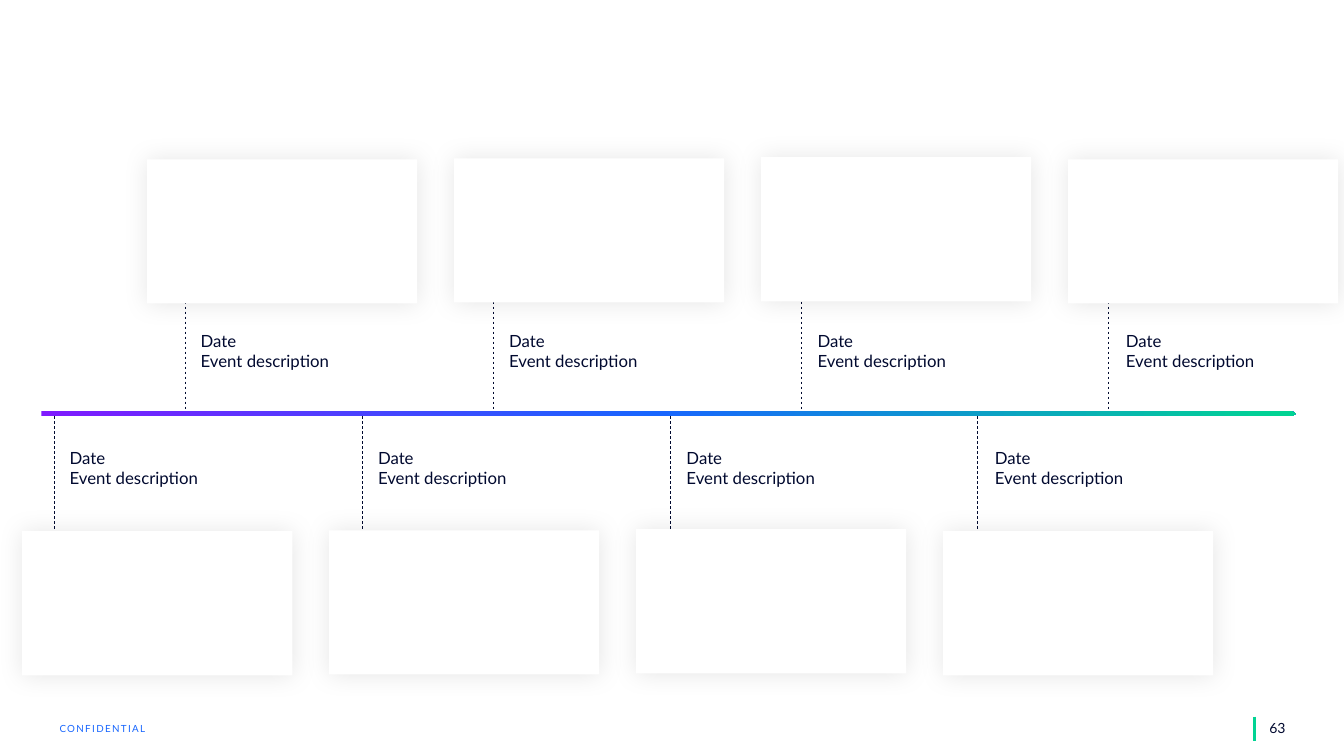
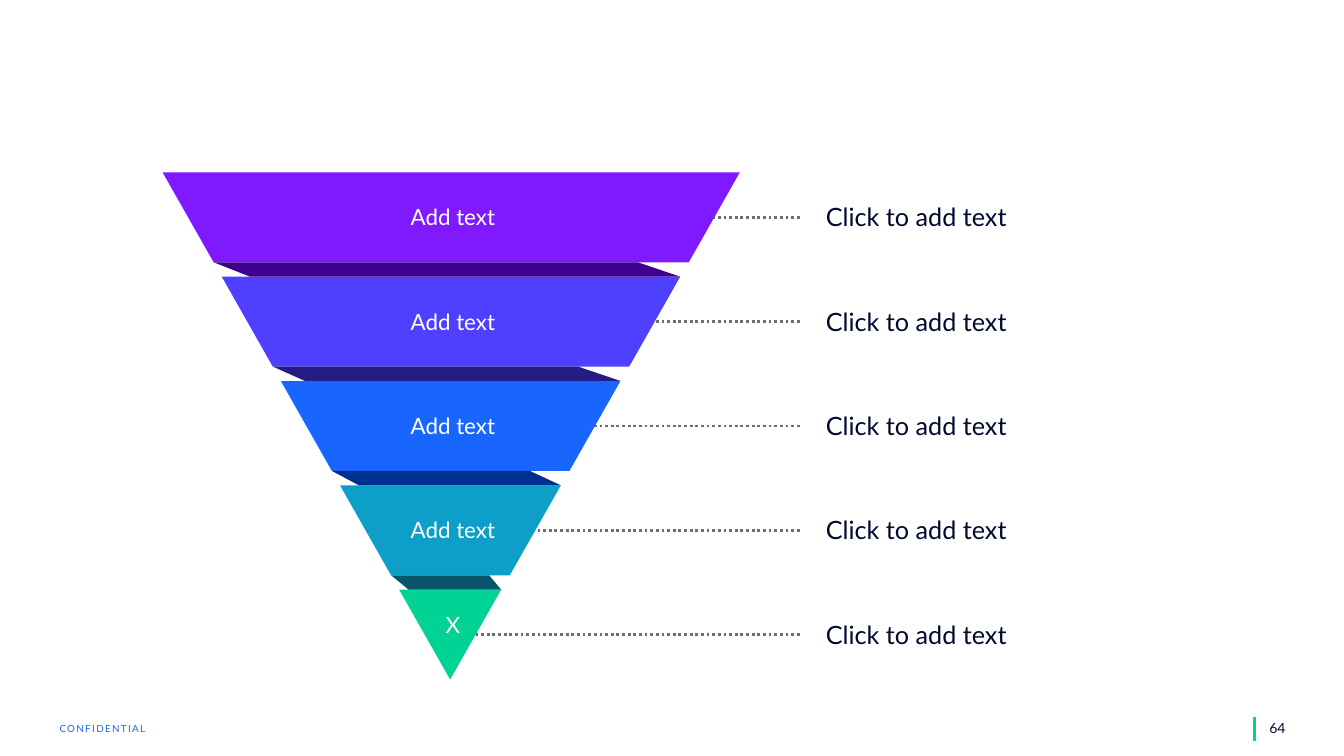
"""Build a timeline slide and an inverted pyramid slide."""
from copy import deepcopy

from lxml.etree import SubElement
from pptx import Presentation
from pptx.dml.color import RGBColor as Rgb
from pptx.enum.dml import MSO_LINE_DASH_STYLE as Dash
from pptx.enum.shapes import MSO_CONNECTOR as Connector, MSO_SHAPE as Shape
from pptx.enum.text import MSO_ANCHOR as Anchor, PP_ALIGN as Align
from pptx.oxml.ns import qn
from pptx.util import Inches, Pt

COLORS = {
    "ink": "00092F",
    "white": "FFFFFF",
    "blue": "1866FE",
    "green": "01D393",
    "purple": "7F1AFE",
    "leader": "6B6E6B",
    "shadow": "000000",
}
LAYERS = ["7F1AFF", "4F3FFF", "1966FF", "0E9FC8", "02D394"]
FOLDS = ["3E008F", "251C84", "00308F", "07566C"]
FONT = "Lato"

deck = Presentation()
deck.slide_width, deck.slide_height = Inches(13.33), Inches(7.5)
COL, ROW = deck.slide_width / 100, deck.slide_height / 100


def write(page, text, left, top, width, height, size, color="ink", align=Align.LEFT, inset=0):
    """Add a text box placed in grid columns and rows."""
    box = page.shapes.add_textbox(
        round(left * COL), round(top * ROW), round(width * COL), round(height * ROW))
    frame = box.text_frame
    frame.word_wrap = True
    frame.margin_left = frame.margin_right = Inches(inset)
    frame.margin_top = frame.margin_bottom = Inches(inset / 2)
    frame.text = text
    for para in frame.paragraphs:
        para.alignment = align
        for span in para.runs:
            span.font.name = FONT
            span.font.size = Pt(size)
            span.font.color.rgb = Rgb.from_string(COLORS[color])
    return box


def draw_line(page, start, end, color, weight, dash=Dash.SOLID):
    """Add a straight line between two grid points."""
    line = page.shapes.add_connector(
        Connector.STRAIGHT, round(start[0] * COL), round(start[1] * ROW),
        round(end[0] * COL), round(end[1] * ROW))
    line.line.color.rgb = Rgb.from_string(COLORS[color])
    line.line.width = Pt(weight)
    line.line.dash_style = dash
    SubElement(line._element.spPr, qn("a:effectLst"))


pages = []
for number in (63, 64):
    page = deck.slides.add_slide(deck.slide_layouts[6])
    draw_line(page, (93.32, 94.8), (93.32, 98), "green", 2)
    label = write(page, "CONFIDENTIAL", 4.43, 95.6, 10, 1.6, 7, "blue")
    label.text_frame.paragraphs[0].runs[0]._r.get_or_add_rPr().set("spc", "100")
    box = write(page, str(number), 93.7, 94.53, 3.4, 3.6, 10, inset=0.1)
    box.text_frame.vertical_anchor = Anchor.MIDDLE
    pages.append(page)
timeline, pyramid = pages

bar = timeline.shapes.add_shape(
    Shape.PENTAGON, round(3.08 * COL), round(54.4 * ROW), round(93.32 * COL), round(0.67 * ROW))
bar.adjustments[0] = 0.68
bar.shadow.inherit = False
bar.line.fill.background()
bar.fill.gradient()
bar.fill.gradient_angle = 0
stop_list = bar._element.spPr.find(".//" + qn("a:gsLst"))
stop_list.append(deepcopy(stop_list[0]))
for stop, position, color in zip(
        bar.fill.gradient_stops, (0, 0.49, 0.99), ("purple", "blue", "green")):
    stop.position = position
    stop.color.rgb = Rgb.from_string(COLORS[color])

EVENT_ROWS = [
    {"stem": 13.8, "stem_top": 26.67, "stem_end": 54.4, "text": 14.93, "text_top": 43.73,
     "card": 10.95, "card_top": 21.07},
    {"stem": 4.05, "stem_top": 55.07, "stem_end": 82.67, "text": 5.18, "text_top": 59.2,
     "card": 1.65, "card_top": 70.27},
]
for event in EVENT_ROWS:
    for column, lift in enumerate((0, 0.13, 0.27, 0)):
        stem = event["stem"] + column * 22.9
        draw_line(timeline, (stem, event["stem_top"]), (stem, event["stem_end"]),
                  "ink", 0.5, Dash.DASH)
        write(timeline, "Date\nEvent description", event["text"] + column * 22.95,
              event["text_top"], 17, 5.33, 12)
        card = timeline.shapes.add_shape(
            Shape.RECTANGLE, round((event["card"] + column * 22.84) * COL),
            round((event["card_top"] - lift) * ROW), round(20.1 * COL), round(19.07 * ROW))
        card.fill.solid()
        card.fill.fore_color.rgb = Rgb.from_string(COLORS["white"])
        card.line.fill.background()
        card.shadow.inherit = False
        effects = card._element.spPr.find(qn("a:effectLst"))
        glow = SubElement(effects, qn("a:outerShdw"), blurRad=str(Pt(18.5)), dist="0",
                          dir="0", algn="ctr", rotWithShape="0")
        tint = SubElement(glow, qn("a:srgbClr"), val=COLORS["shadow"])
        SubElement(tint, qn("a:alpha"), val="10000")

SLANT, LAYER_HEIGHT, LAYER_PITCH = 3.8, 11.9, 13.8
FOLD_INSETS = [(2.1, 3.15), (1.8, 3.15), (1.4, 2.3), (0.7, 0.9)]
for index, layer_color in enumerate(LAYERS):
    left, right = 12.1 + 4.4 * index, 55.05 - 4.44 * index
    top = 22.8 + LAYER_PITCH * index
    bottom = top + LAYER_HEIGHT
    last = index == len(LAYERS) - 1
    middle = top + LAYER_HEIGHT / 2
    draw_line(pyramid, (59.5, middle), (right - SLANT, middle), "leader", 2, Dash.ROUND_DOT)
    outlines = [(layer_color, [(right, top), (left, top), (left + SLANT, bottom),
                               (right - SLANT, bottom)])]
    if index:
        inner, outer = FOLD_INSETS[index - 1]
        fold_top = top - LAYER_PITCH + LAYER_HEIGHT
        outlines.append((FOLDS[index - 1], [
            (left - 4.4 + SLANT, fold_top), (left + inner, top), (right, top),
            (right - outer, fold_top)]))
    for color, corners in outlines:
        points = [(round(x * COL), round(y * ROW)) for x, y in corners]
        builder = pyramid.shapes.build_freeform(*points[0])
        builder.add_line_segments(points[1:], close=True)
        outline = builder.convert_to_shape()
        outline.shadow.inherit = False
        outline.fill.solid()
        outline.fill.fore_color.rgb = Rgb.from_string(color)
        outline.line.fill.background()
    write(pyramid, "X" if last else "Add text", 19, top + (2.8 if last else 4.1), 29.4, 3.6,
          16, "white", Align.CENTER)
    write(pyramid, "Click to add text", 61.45, top + 3.87, 29.4, 4, 18)

deck.save("out.pptx")
